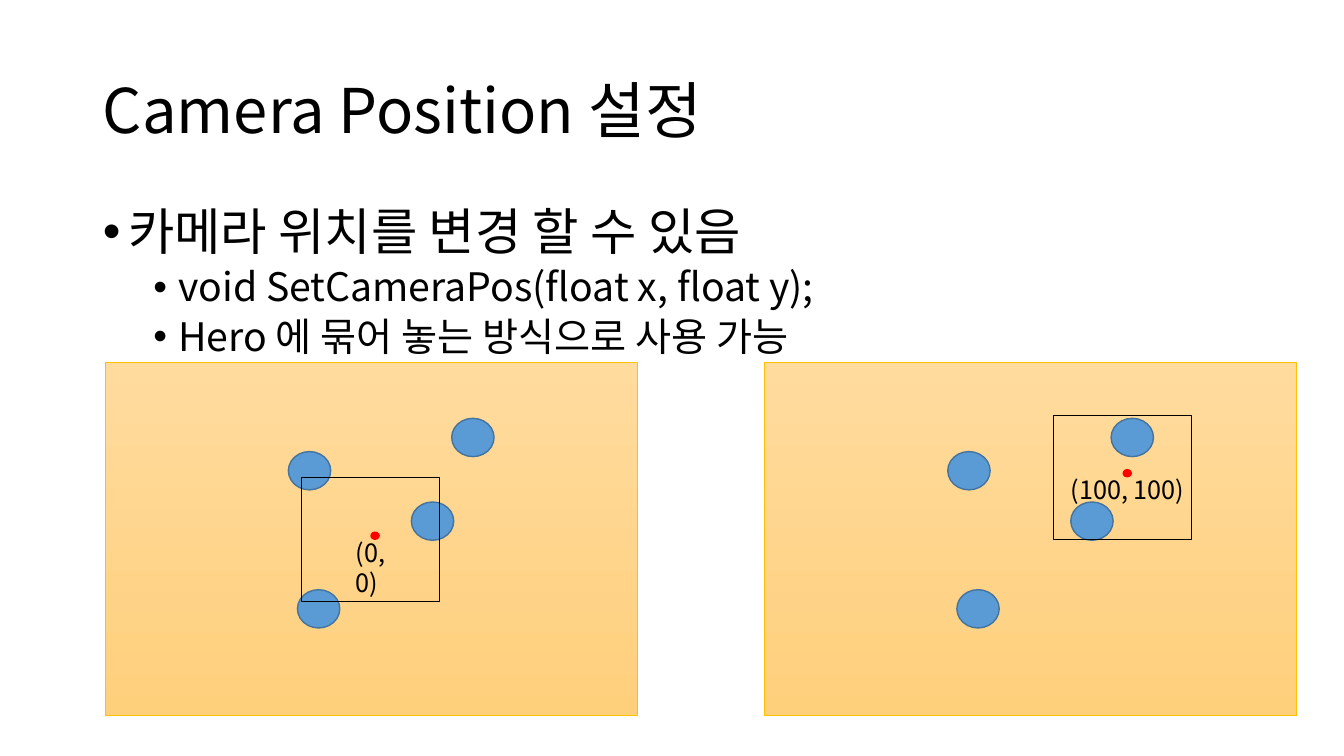
from dataclasses import dataclass

from lxml import etree
from pptx import Presentation
from pptx import util as u
from pptx.dml.color import RGBColor
from pptx.enum import shapes, text
from pptx.oxml.ns import qn

PX = 9144  # EMU, 100 px to the inch


@dataclass(frozen=True)
class Theme:
    face: str = "Noto Sans CJK KR"
    ink: str = "000000"
    top: str = "FFDB9E"
    base: str = "FFD07C"
    edge: str = "FFC000"
    ball: str = "5B9BD5"
    rim: str = "43739E"
    mark: str = "FF0000"
    title: int = 44
    head: int = 36
    item: int = 28
    label: int = 18


T = Theme()
WORLD = (528, 350)
BALL = (42, 38)
VIEW = (137, 123)
DOT = (8, 7)
BALLS = [(344, 55), (182, 88), (304, 138), (191, 225)]


def rgb(code):
    return RGBColor.from_string(code)


def place(item, left, top, wide, high):
    item.left, item.top = left * PX, top * PX
    item.width, item.height = wide * PX, high * PX


def style(para, size):
    """Set the font for both Latin and Korean letters."""
    font = para.font
    font.size = u.Pt(size)
    font.color.rgb = rgb(T.ink)
    font.name = T.face
    props = para._p.pPr.find(qn("a:defRPr"))
    etree.SubElement(props, qn("a:ea")).set("typeface", T.face)


def bullet(para, left):
    props = para._p.get_or_add_pPr()
    props.set("marL", str(left * PX))
    props.set("indent", str(-25 * PX))
    etree.SubElement(props, qn("a:buFont")).set("typeface", "Arial")
    etree.SubElement(props, qn("a:buChar")).set("char", "•")


def add_title(slide, words):
    title = slide.shapes.title
    place(title, 92, 40, 1150, 145)
    frame = title.text_frame
    frame.text = words
    frame.auto_size = text.MSO_AUTO_SIZE.NONE
    frame.vertical_anchor = text.MSO_ANCHOR.MIDDLE
    para = frame.paragraphs[0]
    para.alignment = text.PP_ALIGN.LEFT
    para.line_spacing = 0.9
    style(para, T.title)


def add_list(slide, lines):
    body = slide.placeholders[1]
    place(body, 92, 200, 1150, 476)
    frame = body.text_frame
    frame.text = "\n".join(words for _, words in lines)
    frame.auto_size = text.MSO_AUTO_SIZE.NONE
    for para, (level, _) in zip(frame.paragraphs, lines):
        para.level = level
        bullet(para, 75 if level else 25)
        para.line_spacing = 0.9
        para.space_before = u.Pt(5 if level else 0)
        style(para, T.item if level else T.head)


def add_shape(owner, kind, spot, size, line, width=1, fill=None):
    shape = owner.shapes.add_shape(kind, 0, 0, 0, 0)
    place(shape, *spot, *size)
    shape.shadow.inherit = False
    shape.line.color.rgb = rgb(line)
    shape.line.width = u.Pt(width)
    if fill:
        shape.fill.solid()
        shape.fill.fore_color.rgb = rgb(fill)
    else:
        shape.fill.background()
    return shape


def add_label(owner, words, left, top, wide):
    box = owner.shapes.add_textbox(0, 0, 0, 0)
    place(box, left, top, wide, 40)
    frame = box.text_frame
    frame.word_wrap = True
    frame.auto_size = text.MSO_AUTO_SIZE.SHAPE_TO_FIT_TEXT
    frame.text = words
    style(frame.paragraphs[0], T.label)


def add_world(slide, left, top):
    kind = shapes.MSO_SHAPE
    world = add_shape(slide, kind.RECTANGLE, (left, top), WORLD, T.edge, 0.5)
    world.fill.gradient()
    world.fill.gradient_angle = 270
    for stop, code in zip(world.fill.gradient_stops, (T.top, T.base)):
        stop.color.rgb = rgb(code)
    for x, y in BALLS:
        add_shape(slide, kind.OVAL, (left + x, top + y), BALL, T.rim, fill=T.ball)


def add_camera(slide, left, top, words, inset, wide):
    """Draw the view frame with its centre dot and position label."""
    kind = shapes.MSO_SHAPE
    group = slide.shapes.add_group_shape()
    add_label(group, words, left + inset, top + 54, wide)
    add_shape(group, kind.OVAL, (left + 69, top + 54), DOT, T.mark, fill=T.mark)
    add_shape(group, kind.RECTANGLE, (left, top), VIEW, T.ink)


def main():
    deck = Presentation()
    deck.slide_width, deck.slide_height = 1333 * PX, 750 * PX
    slide = deck.slides.add_slide(deck.slide_layouts[1])
    add_title(slide, "Camera Position 설정")
    add_list(slide, [
        (0, "카메라 위치를 변경 할 수 있음"),
        (1, "void SetCameraPos(float x, float y);"),
        (1, "Hero 에 묶어 놓는 방식으로 사용 가능"),
    ])
    add_world(slide, 104, 360)
    add_camera(slide, 299, 474, "(0, 0)", 44, 70)
    add_world(slide, 758, 360)
    add_camera(slide, 1045, 412, "(100, 100)", 7, 141)
    deck.save("out.pptx")


if __name__ == "__main__":
    main()
